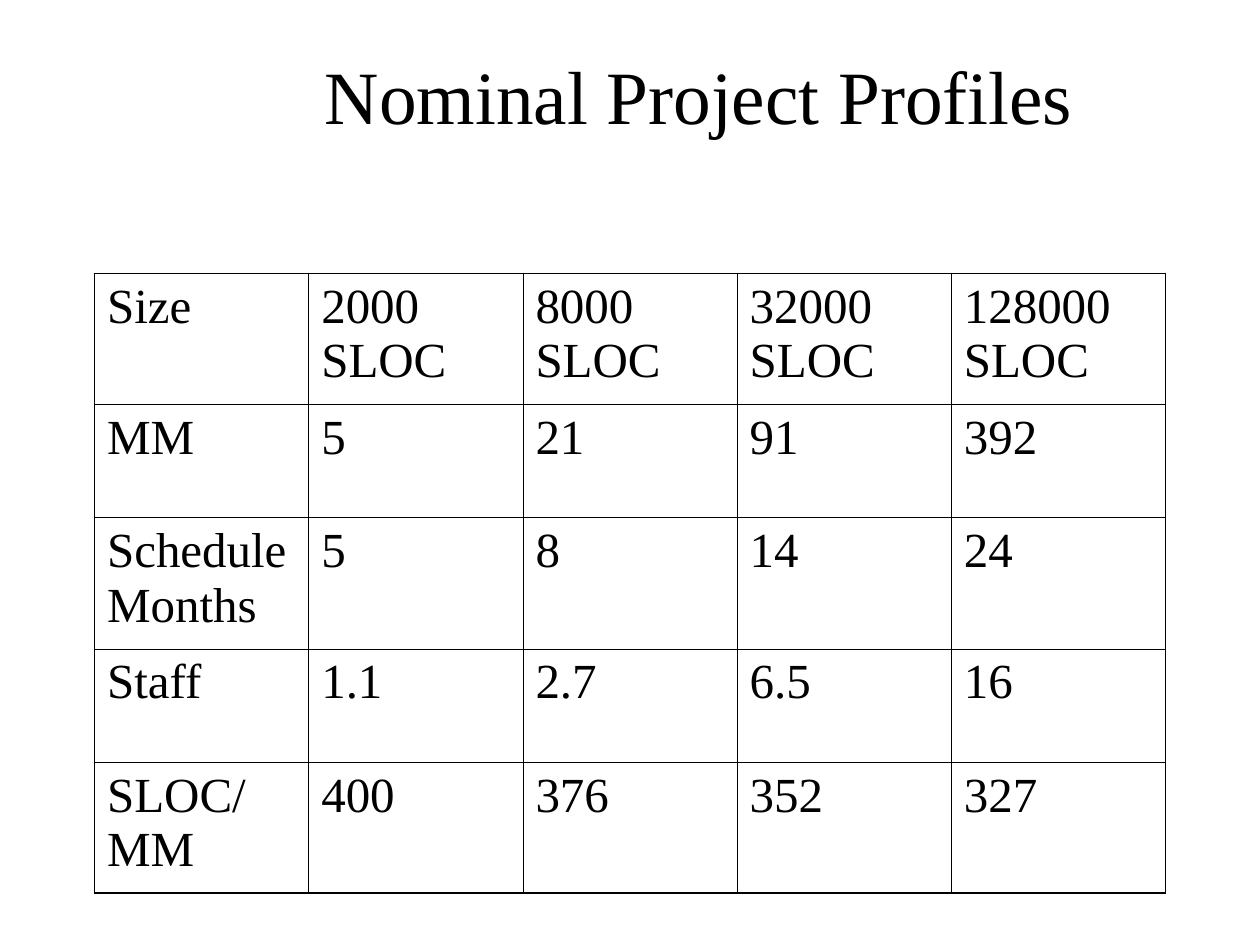
from pptx import Presentation
from pptx.dml.color import RGBColor
from pptx.enum.text import MSO_ANCHOR, PP_ALIGN
from pptx.oxml.ns import qn
from pptx.util import Inches, Pt
from lxml import etree

BLACK = RGBColor(0x00, 0x00, 0x00)
FONT = "Times New Roman"
OUTER_LINE = Pt(1.08)
INNER_LINE = Pt(0.45)

PROFILES = [
    ["Size", "2000 SLOC", "8000 SLOC", "32000 SLOC", "128000 SLOC"],
    ["MM", "5", "21", "91", "392"],
    ["Schedule Months", "5", "8", "14", "24"],
    ["Staff", "1.1", "2.7", "6.5", "16"],
    ["SLOC/ MM", "400", "376", "352", "327"],
]
ROW_HEIGHTS = [1.04, 0.9, 1.04, 0.9, 1.04]
COLUMN_WIDTH = 1.7


def write(paragraph, text, size):
    run = paragraph.add_run()
    run.text = text
    run.font.name = FONT
    run.font.size = Pt(size)
    run.font.color.rgb = BLACK


def add_border(cell, side, width):
    """Draw one cell edge; side is L, R, T or B, called in that order."""
    line = etree.SubElement(cell._tc.get_or_add_tcPr(), qn(f"a:ln{side}"), w=str(width))
    fill = etree.SubElement(line, qn("a:solidFill"))
    etree.SubElement(fill, qn("a:srgbClr"), val=str(BLACK))


prs = Presentation()
prs.slide_width = Inches(10)
prs.slide_height = Inches(7.5)
slide = prs.slides.add_slide(prs.slide_layouts[6])

title = slide.shapes.add_textbox(Inches(1.42), Inches(0.25), Inches(8.25), Inches(1))
title.text_frame.word_wrap = True
title.text_frame.vertical_anchor = MSO_ANCHOR.MIDDLE
heading = title.text_frame.paragraphs[0]
heading.alignment = PP_ALIGN.CENTER
write(heading, "Nominal Project Profiles", 43)

row_count, column_count = len(PROFILES), len(PROFILES[0])
profile_table = slide.shapes.add_table(
    row_count, column_count, Inches(0.75), Inches(2.17),
    Inches(COLUMN_WIDTH * column_count), Inches(sum(ROW_HEIGHTS)),
).table
profile_table.first_row = False
profile_table.horz_banding = False

for column in profile_table.columns:
    column.width = Inches(COLUMN_WIDTH)

for r, (values, height) in enumerate(zip(PROFILES, ROW_HEIGHTS)):
    profile_table.rows[r].height = Inches(height)
    for c, value in enumerate(values):
        cell = profile_table.cell(r, c)
        write(cell.text_frame.paragraphs[0], value, 28)
        on_outside = {
            "L": c == 0,
            "R": c == column_count - 1,
            "T": r == 0,
            "B": r == row_count - 1,
        }
        for side, outside in on_outside.items():
            add_border(cell, side, OUTER_LINE if outside else INNER_LINE)
        cell.fill.background()

prs.save("out.pptx")
